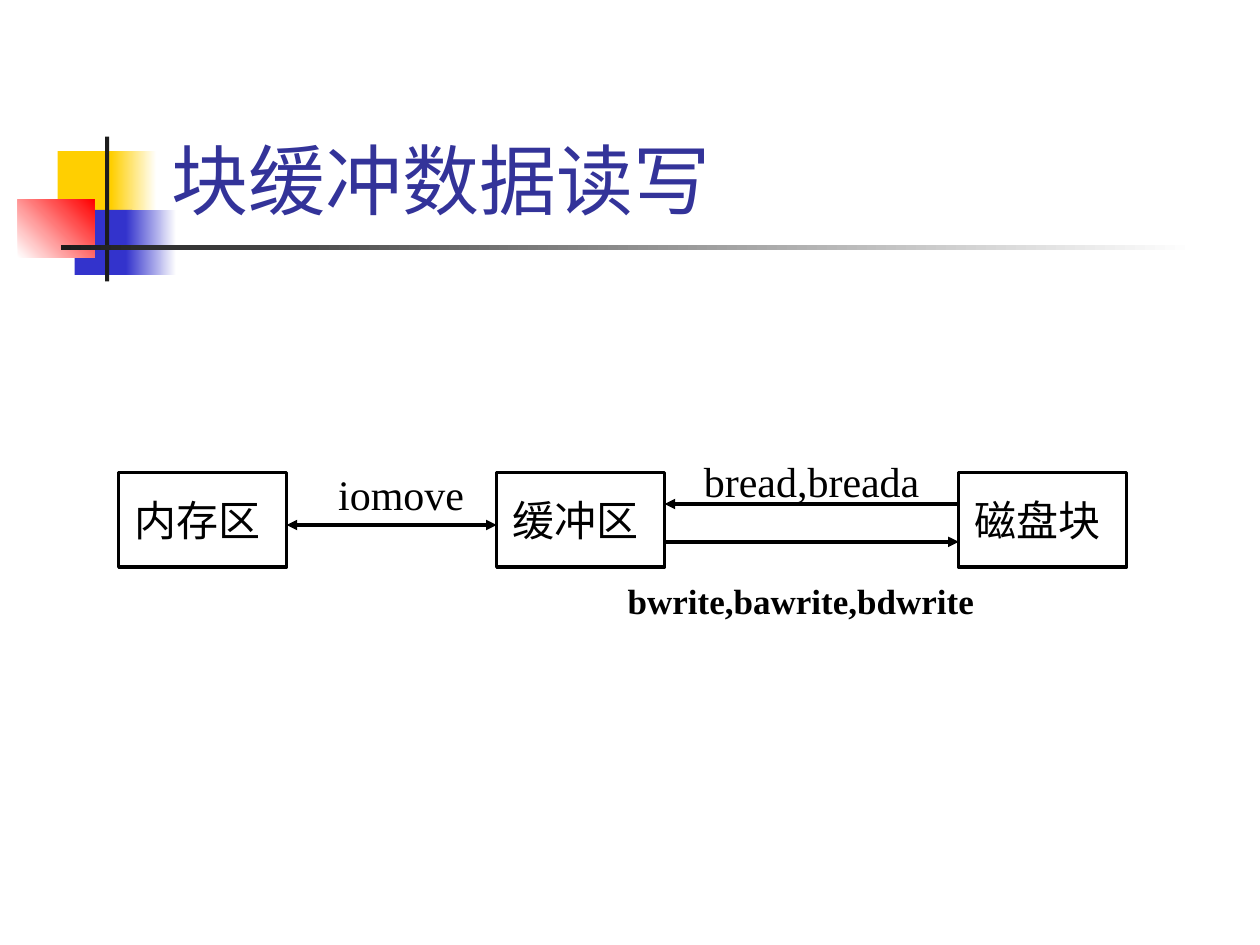
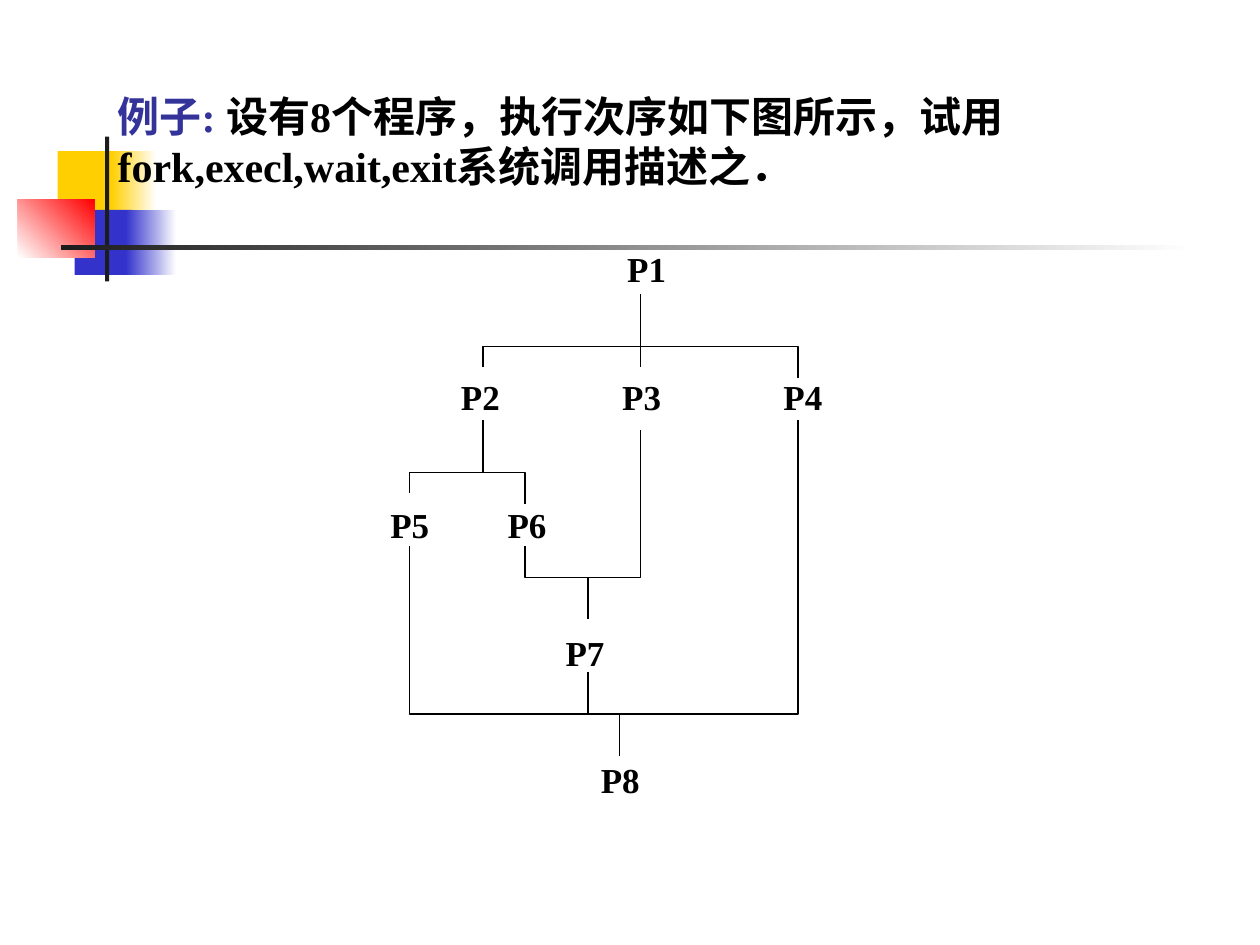
import pptx
import pptx.util
import pptx.dml.color
import pptx.enum.shapes
import pptx.enum.text
import pptx.oxml
import pptx.oxml.ns

INK = {"gold": "FFCF01", "white": "FFFFFF", "blue": "3333CC", "red": "FF0000",
       "dark": "1C1C1C", "title": "333399", "black": "000000"}
SANS = "Noto Sans CJK SC"
SERIF = "Times New Roman"
CELL = pptx.util.Inches(1) / 12
WIDE, HIGH = 120, 90
RECT = pptx.enum.shapes.MSO_SHAPE.RECTANGLE
ALIGN = pptx.enum.text.PP_ALIGN
ANCHOR = pptx.enum.text.MSO_ANCHOR


def grid(*cells):
    return [round(n * CELL) for n in cells]


def tint(name):
    return pptx.dml.color.RGBColor.from_string(INK[name])


def node(tag, **attrs):
    item = pptx.oxml.parse_xml(f"<{tag} {pptx.oxml.ns.nsdecls('a')}/>")
    for key, value in attrs.items():
        item.set(key, str(value))
    return item


def write(para, text, size, face=SERIF, ink="black", bold=False):
    run = para.add_run()
    run.text = text
    font = run.font
    font.size = pptx.util.Pt(size)
    font.bold = bold
    font.color.rgb = tint(ink)
    font.name = face
    run._r.get_or_add_rPr().append(node("a:ea", typeface=SANS))


def stroke(shape, width):
    shape.line.color.rgb = tint("black")
    shape.line.width = pptx.util.Pt(width)


def block(slide, box, *inks, angle=0):
    shape = slide.shapes.add_shape(RECT, *grid(*box))
    shape.shadow.inherit = False
    shape.line.fill.background()
    if len(inks) == 1:
        shape.fill.solid()
        shape.fill.fore_color.rgb = tint(inks[0])
    else:
        shape.fill.gradient()
        shape.fill.gradient_angle = angle
        for stop, ink in zip(shape.fill.gradient_stops, inks):
            stop.color.rgb = tint(ink)
    return shape


def motif(slide, master):
    parts = [
        block(slide, (5.5, 14.4, 5.8, 6.2), "gold"),
        block(slide, (10.6, 14.4, 4.3, 6.2), "gold", "white"),
        block(slide, (7.1, 20, 5.5, 6.2), "blue"),
        block(slide, (12, 20, 4.8, 6.2), "blue", "white"),
        block(slide, (1.7, 19, 7.3, 5.5), "white", "red", angle=45),
        block(slide, (10, 13, 0.4, 13.8), "dark"),
        block(slide, (5.8, 23.35, 108, 0.45), "dark", "white"),
    ]
    for count, part in enumerate(parts):
        part.element.nvSpPr.cNvPr.set("id", str(20 + count))
        master.shapes.element.insert(2 + count, part.element)


def head(slide, box, anchor, *runs):
    title = slide.shapes.title
    title.left, title.top, title.width, title.height = grid(*box)
    frame = title.text_frame
    frame.auto_size = pptx.enum.text.MSO_AUTO_SIZE.NONE
    frame.word_wrap = True
    frame.vertical_anchor = anchor
    para = frame.paragraphs[0]
    para.alignment = ALIGN.LEFT
    for run in runs:
        write(para, *run)


def label(shape, text, size, face=SERIF, bold=False):
    frame = shape.text_frame
    frame.word_wrap = False
    frame.vertical_anchor = ANCHOR.MIDDLE
    para = frame.paragraphs[0]
    para.alignment = ALIGN.CENTER
    write(para, text, size, face, bold=bold)


def link(slide, start, end, width, *tips):
    line = slide.shapes.add_connector(
        pptx.enum.shapes.MSO_CONNECTOR.STRAIGHT, *grid(*start, *end))
    stroke(line, width)
    line.element.spPr.append(node("a:effectLst"))
    for tip in tips:
        line.line._get_or_add_ln().append(node(tip, type="triangle"))


def flow(slide, box):
    left, top = box[:2]
    size = 16
    spots = [0, 36, 80]
    for spot, text in zip(spots, ["内存区 ", "缓冲区 ", "磁盘块 "]):
        store = block(slide, (left + spot, top + 1.5, size, 9), "white")
        stroke(store, 2)
        label(store, text, 24, SANS)
    for gap, row, tips in [(1, 4.5, ["a:headEnd"]), (1, 8.1, ["a:tailEnd"]),
                           (0, 6.5, ["a:headEnd", "a:tailEnd"])]:
        link(slide, (left + spots[gap] + size, top + row),
             (left + spots[gap + 1], top + row), 2, *tips)
    for col, row, width, high, text, points, bold in [
            (18.4, 1.5, 18, 4, "iomove ", 24, False),
            (52.5, 0, 28, 4.5, "bread,breada ", 24, False),
            (45.4, 11.7, 40, 4, "bwrite,bawrite,bdwrite ", 20, True)]:
        call = slide.shapes.add_textbox(*grid(left + col, top + row, width, high))
        label(call, text, points, bold=bold)


def names(slide, box):
    frame = slide.shapes.add_textbox(*grid(*box)).text_frame
    frame.word_wrap = True
    rows = [("\tP1", [1.88]), ("\tP2\tP3\tP4", [0.56, 1.84, 3.12]),
            ("P5\tP6", [0.93]), ("\tP7", [1.39]), ("\tP8", [1.67])]
    for count, (text, stops) in enumerate(rows):
        para = frame.add_paragraph() if count else frame.paragraphs[0]
        para.space_before = pptx.util.Pt(49 if count else 0)
        tabs = node("a:tabLst")
        for stop in stops:
            tabs.append(node("a:tab", pos=pptx.util.Inches(stop), algn="l"))
        para._p.get_or_add_pPr().append(tabs)
        write(para, text, 20, bold=True)


def tree(slide, box):
    left, top = box[:2]
    names(slide, box)
    for start, bar, end in [((10, 12), 10, (40, 13)), ((3, 24), 22, (14, 25)),
                            ((14, 29), 32, (25, 18)), ((3, 29), 45, (40, 17))]:
        path = [start, (start[0], bar), (end[0], bar), end]
        dots = [grid(left + col, top + row) for col, row in path]
        pen = slide.shapes.build_freeform(*dots[0])
        pen.add_line_segments(dots[1:], close=False)
        fork = pen.convert_to_shape()
        fork.shadow.inherit = False
        fork.fill.background()
        stroke(fork, 0.75)
    for col, high, low in [(25, 5, 12), (10, 17, 22), (20, 32, 36),
                           (20, 41, 45), (23, 45, 49)]:
        link(slide, (left + col, top + high), (left + col, top + low), 0.75)


def main():
    deck = pptx.Presentation()
    deck.slide_width, deck.slide_height = grid(WIDE, HIGH)
    plan = deck.slide_layouts[5]

    slide = deck.slides.add_slide(plan)
    motif(slide, deck.slide_master)
    head(slide, (15.1, 2.8, 102.2, 19.2), ANCHOR.BOTTOM,
         ("块缓冲数据读写", 44, SANS, "title"))
    flow(slide, (11.3, 43.5, 96, 16))

    slide = deck.slides.add_slide(plan)
    head(slide, (10, 8, 88, 10.8), ANCHOR.TOP,
         ("例子: ", 24, SERIF, "title", True),
         ("设有8个程序，执行次序如下图所示，试用fork,execl,wait,exit系统调用描述之．",
          24, SERIF, "black", True))
    tree(slide, (36, 23, 47, 54))
    deck.save("out.pptx")


if __name__ == "__main__":
    main()
